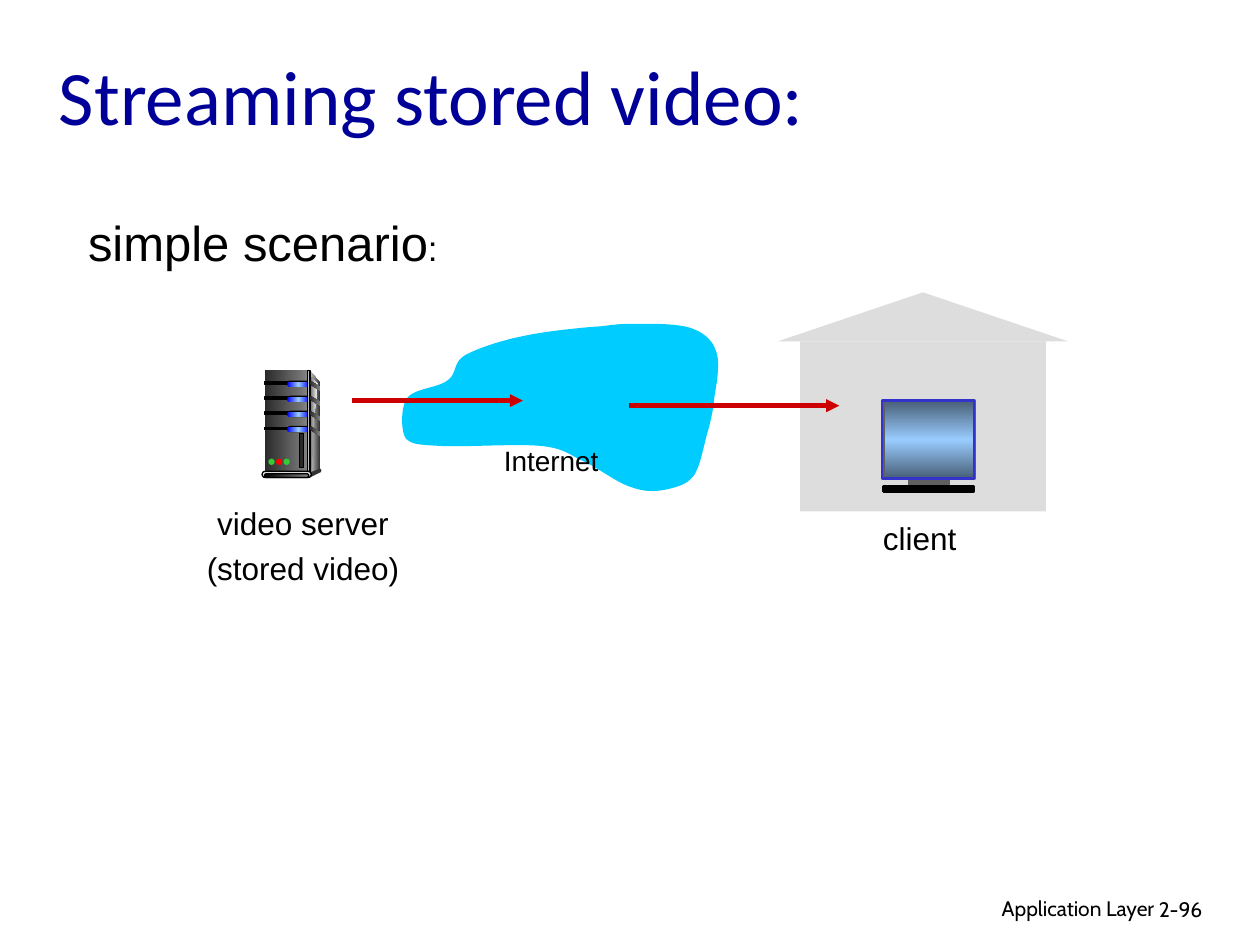
from copy import deepcopy

from lxml import etree
from pptx import Presentation
from pptx import util as u
from pptx.dml.color import RGBColor
from pptx.enum import shapes, text
from pptx.oxml.ns import qn

Inches = u.Inches
KIND = shapes.MSO_SHAPE
DARK = ["292929", "808080"]
LED = ["0000FF", "99CCFF", "0000FF"]


def color(value):
    return RGBColor.from_string(value)


def paint(shape, fill=None, line=None, weight=0.75, angle=0):
    shape.shadow.inherit = False
    if fill is None:
        shape.fill.background()
    elif isinstance(fill, str):
        shape.fill.solid()
        shape.fill.fore_color.rgb = color(fill)
    else:
        shape.fill.gradient()
        shape.fill.gradient_angle = angle
        stops = shape._element.spPr.find(".//" + qn("a:gsLst"))
        for _ in fill[2:]:
            stops.append(deepcopy(stops[0]))
        for index, stop in enumerate(shape.fill.gradient_stops):
            stop.position = index / (len(fill) - 1)
            stop.color.rgb = color(fill[index])
    if line:
        shape.line.color.rgb = color(line)
        shape.line.width = u.Pt(weight)
    else:
        shape.line.fill.background()
    return shape


def add_box(slide, kind, left, top, width, height, fill=None, **style):
    shape = slide.shapes.add_shape(kind, *map(Inches, (left, top, width, height)))
    if kind == KIND.ROUNDED_RECTANGLE:
        shape.adjustments[0] = 0.5
    return paint(shape, fill, **style)


def add_outline(slide, left, top, points, fill):
    points = [(Inches(left + x), Inches(top + y)) for x, y in points]
    builder = slide.shapes.build_freeform(*points[0], scale=1.0)
    builder.add_line_segments(points[1:], close=True)
    return paint(builder.convert_to_shape(), fill)


def add_text(slide, left, top, width, height, paragraphs, wrap=False,
             anchor=text.MSO_ANCHOR.TOP, align=text.PP_ALIGN.LEFT):
    frame = slide.shapes.add_textbox(*map(Inches, (left, top, width, height))).text_frame
    frame.word_wrap = wrap
    frame.vertical_anchor = anchor
    for index, runs in enumerate(paragraphs):
        paragraph = frame.add_paragraph() if index else frame.paragraphs[0]
        paragraph.alignment = align
        if index:
            paragraph.space_before = u.Pt(4.3)
        for words, size, font, ink in runs:
            run = paragraph.add_run()
            run.text = words
            for name, value in {"size": u.Pt(size), "name": font}.items():
                setattr(run.font, name, value)
            run.font.color.rgb = color(ink)


def add_arrow(slide, left, top, length):
    arrow = slide.shapes.add_connector(
        shapes.MSO_CONNECTOR.STRAIGHT,
        *map(Inches, (left, top, left + length, top)))
    arrow.line.color.rgb = color("CC0000")
    arrow.line.width = u.Pt(2.5)
    outline = arrow._element.spPr.find(qn("a:ln"))
    etree.SubElement(outline, qn("a:tailEnd"), type="triangle")
    etree.SubElement(arrow._element.spPr, qn("a:effectLst"))


def add_house(slide, left, top, width, height):
    roof = 0.39
    inset = 0.18
    add_box(slide, KIND.ISOSCELES_TRIANGLE, left, top, width, roof, "DDDDDD")
    add_box(slide, KIND.RECTANGLE, left + inset, top + roof,
            width - 2 * inset, height - roof, "DDDDDD")


def add_monitor(slide, left, top, width, height):
    screen = height - 0.1
    for x, y, w, h, style in (
        (0.01, 0, width, screen,
         {"fill": ["475E76", "99CCFF", "475E76"], "line": "5F5F5F", "angle": 90}),
        (0.22, screen + 0.01, 0.31, 0.04, {"fill": "5F5F5F", "line": "5F5F5F"}),
        (0.01, screen + 0.06, width - 0.01, 0.04, {"fill": "000000", "line": "000000"}),
        (0, 0, width, screen, {"line": "3333CC"}),
    ):
        add_box(slide, KIND.RECTANGLE, left + x, top + y, w, h, weight=1.5, **style)


def add_server(slide, left, top, height):
    def part(kind, x, y, w, h, fill, line=None):
        add_box(slide, kind, left + x, top + y, w, h, fill, line=line)

    def outline(points, fill):
        add_outline(slide, left, top, points, fill)

    case = height - 0.03
    black = "000000"
    bays = [0.08 + 0.12 * index for index in range(4)]
    outline([(0.38, 0), (0.46, 0.1), (0.46, 0.78), (0.37, case)], ["DDDDDD", "333333"])
    part(KIND.RECTANGLE, 0.02, 0, 0.34, case, DARK)
    outline([(0.39, 0.05), (0.44, 0.11), (0.41, 0.4), (0.39, 0.81)], ["808080", "F8F8F8"])
    for y in bays:
        part(KIND.RECTANGLE, 0.02, y + 0.01, 0.19, 0.02, black, black)
        part(KIND.ROUNDED_RECTANGLE, 0.2, y, 0.19, 0.05, black)
        part(KIND.ROUNDED_RECTANGLE, 0.2, y + 0.01, 0.18, 0.04, LED)
    part(KIND.RECTANGLE, 0.36, 0, 0.02, case, ["333333", "DDDDDD", "333333"], black)
    for y in bays:
        outline([(0.38, y), (0.46, y + 0.05), (0.46, y + 0.08), (0.38, y + 0.03)], DARK)
    part(KIND.OVAL, 0.45, 0.78, 0.02, 0.03, "333333")
    outline([(0.38, 0.81), (0.38, 0.85), (0.46, 0.81), (0.46, 0.78)], "333333")
    part(KIND.ROUNDED_RECTANGLE, 0, 0.8, 0.39, 0.05, "DDDDDD", black)
    part(KIND.ROUNDED_RECTANGLE, 0.02, 0.82, 0.35, 0.03, [black, "808080"], black)
    for index, light in enumerate(("33CC33", "FF0000", "33CC33")):
        part(KIND.OVAL, 0.05 + 0.06 * index, 0.7, 0.05, 0.05, light)
    part(KIND.RECTANGLE, 0.3, 0.5, 0.03, 0.27, "292929", black)


def add_cloud(slide, left, top):
    start = (1.59, 0.02)
    curves = (
        ((1.43, 0.03), (1.14, 0.06), (0.96, 0.1)),
        ((0.77, 0.14), (0.6, 0.2), (0.51, 0.25)),
        ((0.41, 0.31), (0.45, 0.4), (0.37, 0.45)),
        ((0.3, 0.51), (0.11, 0.51), (0.05, 0.59)),
        ((0, 0.66), (0, 0.85), (0.04, 0.91)),
        ((0.09, 0.96), (0.15, 0.96), (0.32, 0.97)),
        ((0.5, 0.98), (0.93, 0.95), (1.12, 0.97)),
        ((1.31, 0.99), (1.35, 1.05), (1.47, 1.1)),
        ((1.59, 1.16), (1.73, 1.27), (1.84, 1.3)),
        ((1.95, 1.34), (2.05, 1.33), (2.13, 1.31)),
        ((2.21, 1.29), (2.28, 1.27), (2.33, 1.2)),
        ((2.38, 1.12), (2.4, 0.99), (2.43, 0.88)),
        ((2.46, 0.78), (2.48, 0.69), (2.49, 0.58)),
        ((2.51, 0.46), (2.54, 0.3), (2.5, 0.21)),
        ((2.47, 0.12), (2.39, 0.06), (2.29, 0.03)),
        ((2.19, 0), (2.02, 0), (1.9, 0)),
        ((1.78, 0), (1.74, 0), start),
    )
    points = [start]
    steps = 10
    for first, second, end in curves:
        origin = points[-1]
        for step in range(1, steps + 1):
            t = step / steps
            weights = ((1 - t) ** 3, 3 * t * (1 - t) ** 2, 3 * t * t * (1 - t), t ** 3)
            points.append(tuple(
                sum(weight * value for weight, value in zip(weights, axis))
                for axis in zip(origin, first, second, end)))
    add_outline(slide, left, top, points, "00CCFF")


def add_labels(slide):
    def run(words, size, font="Arial", ink="000000"):
        return words, size, font, ink

    add_text(slide, 0.37, 0.13, 8.5, 1.25,
             [[run("Streaming stored video:", 44, "Calibri", "000099")]],
             wrap=True, anchor=text.MSO_ANCHOR.MIDDLE)
    add_text(slide, 0.6, 1.64, 3.01, 0.57, [[run("simple scenario", 28), run(":", 20)]])
    add_text(slide, 1.5, 3.95, 1.81, 0.77,
             [[run("video server", 18)], [run("(stored video)", 18)]],
             align=text.PP_ALIGN.CENTER)
    add_text(slide, 6.91, 4.07, 0.84, 0.4, [[run("client", 18)]])
    add_text(slide, 3.9, 3.47, 1.01, 0.37, [[run("Internet", 16)]])
    add_text(slide, 7.57, 7.06, 1.69, 0.33, [[run("Application Layer", 12, "Cabin")]],
             wrap=True, align=text.PP_ALIGN.RIGHT)
    add_text(slide, 9.1, 7.07, 0.74, 0.3, [[run("2-96", 12, "Cabin")]], wrap=True)


def main():
    presentation = Presentation()
    presentation.slide_width = Inches(10)
    presentation.slide_height = Inches(7.5)
    slide = presentation.slides.add_slide(presentation.slide_layouts[6])
    add_house(slide, 6.17, 2.32, 2.31, 1.74)
    add_server(slide, 2.08, 2.94, 0.85)
    add_monitor(slide, 7, 3.18, 0.73, 0.72)
    add_cloud(slide, 3.18, 2.57)
    add_arrow(slide, 2.79, 3.18, 1.36)
    add_arrow(slide, 4.99, 3.22, 1.67)
    add_labels(slide)
    presentation.save("out.pptx")


if __name__ == "__main__":
    main()
